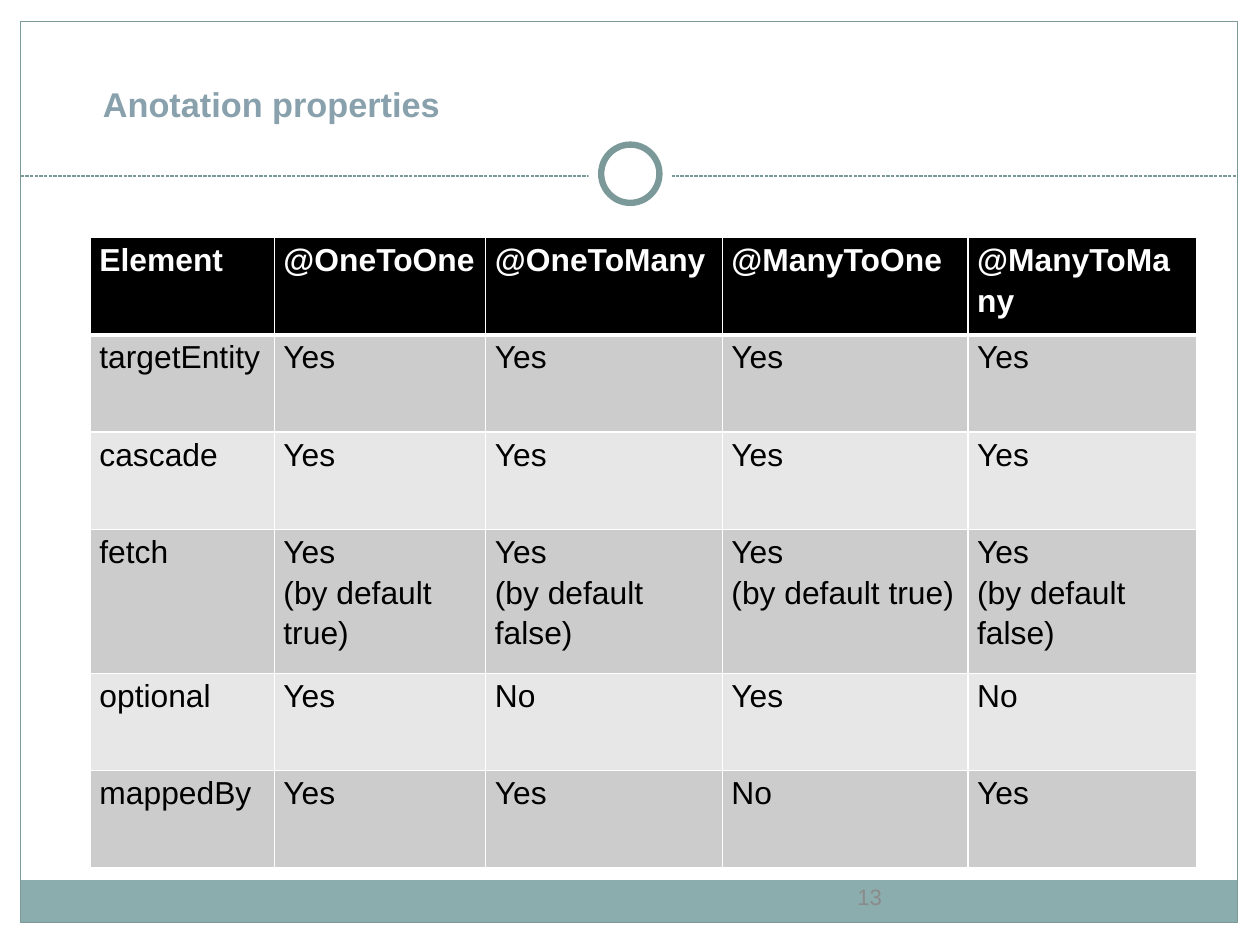
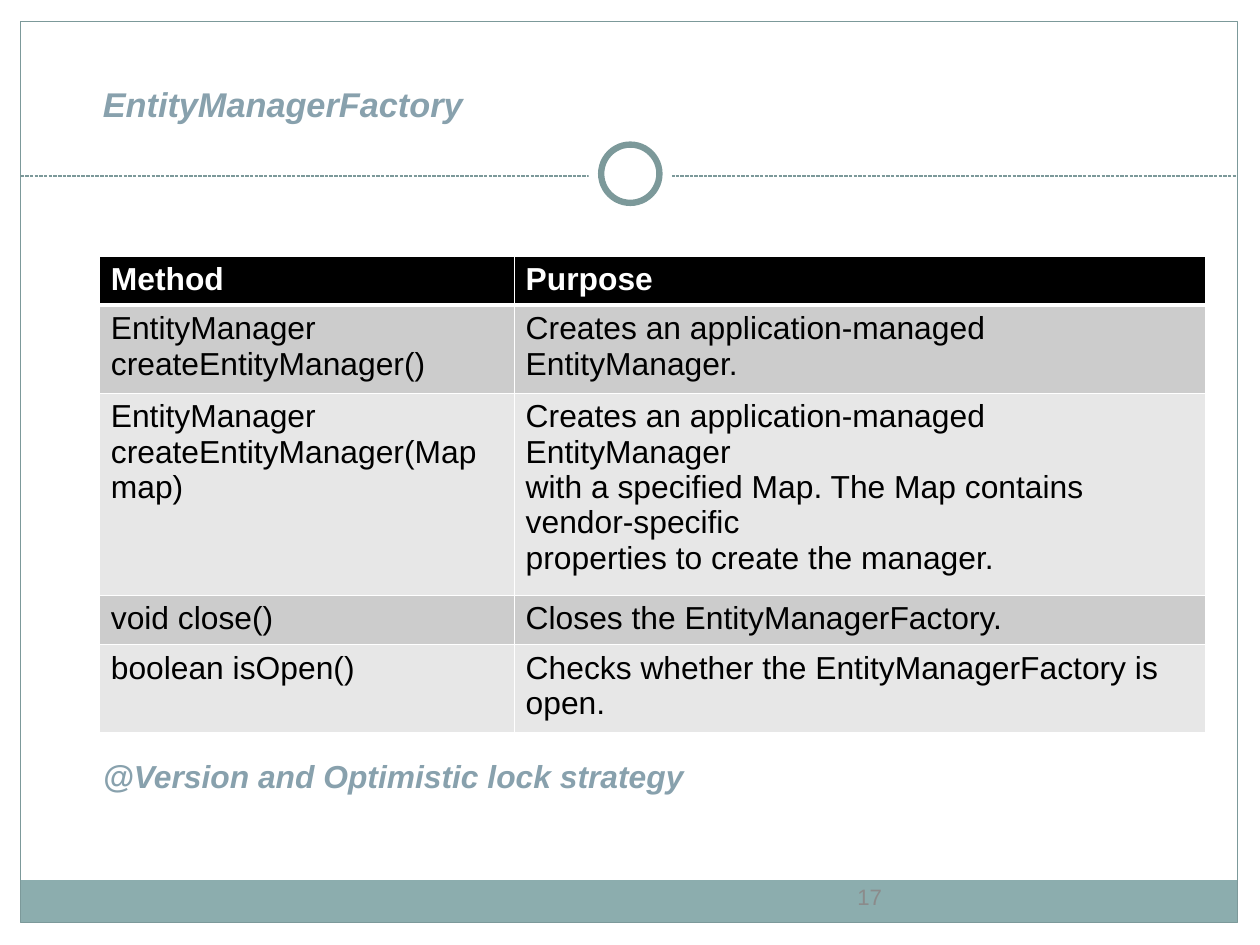
from lxml import etree
from pptx import Presentation
from pptx.dml.color import RGBColor
from pptx.enum.dml import MSO_LINE
from pptx.enum.shapes import MSO_CONNECTOR, MSO_SHAPE, PP_PLACEHOLDER
from pptx.enum.text import MSO_ANCHOR, MSO_AUTO_SIZE, PP_ALIGN
from pptx.oxml.ns import qn
from pptx.util import Emu, Inches, Pt

RECTANGLE, OVAL = MSO_SHAPE.RECTANGLE, MSO_SHAPE.OVAL
STRAIGHT = MSO_CONNECTOR.STRAIGHT
DASH = MSO_LINE.SQUARE_DOT
TITLE = PP_PLACEHOLDER.TITLE
TOP = MSO_ANCHOR.TOP
LEFT, CENTER = PP_ALIGN.LEFT, PP_ALIGN.CENTER
NO_AUTOFIT = MSO_AUTO_SIZE.NONE

FONT = "Arial"
WHITE = RGBColor(0xFF, 0xFF, 0xFF)
BLACK = RGBColor(0, 0, 0)
HEADING = RGBColor(0x88, 0xA1, 0xAD)
FRAME = RGBColor(0x7C, 0x99, 0x9A)
BAND = RGBColor(0x8C, 0xAD, 0xAE)
NUMBER = RGBColor(0x8B, 0x8B, 0x8B)
ROW_FILLS = (RGBColor(0xCC, 0xCC, 0xCC), RGBColor(0xE7, 0xE7, 0xE7))

# The standard 28 by 21 cm screen format
SLIDE_WIDTH, SLIDE_HEIGHT = Emu(10080625), Emu(7559675)
FRAME_BOX = (0.18, 0.19, 10.65, 7.88)
TITLE_BOX = (0.79, 0.67, 9.73, 0.39)
NUMBER_BOX = (7.21, 7.67, 0.8, 0.32)

PROPERTY_ROWS = [
    ["Element", "@OneToOne", "@OneToMany", "@ManyToOne", "@ManyToMany"],
    ["targetEntity"] + ["Yes"] * 4,
    ["cascade"] + ["Yes"] * 4,
    ["fetch"] + ["Yes\n(by default true)", "Yes\n(by default false)"] * 2,
    ["optional"] + ["Yes", "No"] * 2,
    ["mappedBy", "Yes", "Yes", "No", "Yes"],
]
METHOD_ROWS = [
    ["Method", "Purpose"],
    ["EntityManager\ncreateEntityManager()",
     "Creates an application-managed EntityManager."],
    ["EntityManager\ncreateEntityManager(Map map)",
     "Creates an application-managed EntityManager\n"
     "with a specified Map. The Map contains vendor-specific\n"
     "properties to create the manager."],
    ["void close()", "Closes the EntityManagerFactory."],
    ["boolean isOpen()", "Checks whether the EntityManagerFactory is open."],
]


def place(shape, box):
    shape.left, shape.top, shape.width, shape.height = map(Inches, box)


def format_text(text_frame, size, color, bold=False, italic=False,
                align=LEFT, spacing=None):
    for paragraph in text_frame.paragraphs:
        paragraph.alignment = align
        paragraph.line_spacing = spacing
        for run in paragraph.runs:
            font = run.font
            font.name, font.size = FONT, Pt(size)
            font.bold, font.italic = bold, italic
            font.color.rgb = color


def set_frame(text_frame, horizontal, vertical):
    text_frame.word_wrap = True
    text_frame.auto_size = NO_AUTOFIT
    text_frame.vertical_anchor = TOP
    text_frame.margin_left = text_frame.margin_right = Inches(horizontal)
    text_frame.margin_top = text_frame.margin_bottom = Inches(vertical)


def add_label(slide, box, text, size, color, **style):
    text_frame = slide.shapes.add_textbox(*map(Inches, box)).text_frame
    set_frame(text_frame, 0.11, 0.06)
    text_frame.text = text
    format_text(text_frame, size, color, **style)


def add_figure(slide, kind, box, fill=None, line=None, width=0.75):
    shape = slide.shapes.add_shape(kind, *map(Inches, box))
    shape.shadow.inherit = False
    if fill is None:
        shape.fill.background()
    else:
        shape.fill.solid()
        shape.fill.fore_color.rgb = fill
    if line is None:
        shape.line.fill.background()
    else:
        shape.line.color.rgb = line
        shape.line.width = Pt(width)
    return shape


def add_divider(slide, left, right, y):
    divider = slide.shapes.add_connector(
        STRAIGHT, Inches(left), Inches(y), Inches(right), Inches(y))
    divider.line.color.rgb = FRAME
    divider.line.width = Pt(0.75)
    divider.line.dash_style = DASH
    etree.SubElement(divider.element.spPr, qn("a:effectLst"))
    return divider


def build_layout(layout, slide, box):
    """Draw the shared frame on a slide and move it to the layout."""
    for placeholder in list(layout.placeholders):
        if placeholder.placeholder_format.type == TITLE:
            place(placeholder, TITLE_BOX)
        else:
            placeholder.element.getparent().remove(placeholder.element)

    left, top, width, height = box
    center_x, center_y = left + width / 2 + 0.01, top + 1.33

    def circle_box(size):
        return center_x - size / 2, center_y - size / 2, size, size

    parts = [
        add_figure(slide, RECTANGLE, (left, top + height - 0.37, width, 0.37), BAND),
        add_figure(slide, RECTANGLE, box, line=FRAME),
        add_divider(slide, left, left + width, top + 1.35),
        add_figure(slide, OVAL, circle_box(0.73), WHITE),
        add_figure(slide, OVAL, circle_box(0.51), WHITE, FRAME, 4),
    ]
    for part in parts:
        layout.shapes.element.append(part.element)


def set_heading(slide, title, number, italic=False):
    shape = slide.shapes.title
    place(shape, TITLE_BOX)
    set_frame(shape.text_frame, 0.11, 0.06)
    shape.text_frame.text = title
    format_text(shape.text_frame, 21.6, HEADING, bold=True, italic=italic)
    add_label(slide, NUMBER_BOX, number, 14, NUMBER, align=CENTER)


def set_borders(cell, top, bottom):
    properties = cell._tc.get_or_add_tcPr()
    widths = {"a:lnL": 1, "a:lnR": 1, "a:lnT": top, "a:lnB": bottom}
    for position, (tag, width) in enumerate(widths.items()):
        line = etree.Element(qn(tag), w=str(Pt(width)))
        fill = etree.SubElement(line, qn("a:solidFill"))
        etree.SubElement(fill, qn("a:srgbClr"), val=str(WHITE))
        properties.insert(position, line)


def add_grid(slide, left, top, columns, heights, rows, margins, spacing):
    table = slide.shapes.add_table(
        len(rows), len(columns), Inches(left), Inches(top),
        Inches(sum(columns)), Inches(sum(heights))).table
    for column, width in zip(table.columns, columns):
        column.width = Inches(width)
    for row_index, (row, height) in enumerate(zip(table.rows, heights)):
        row.height = Inches(height)
        header = row_index == 0
        for cell, text in zip(row.cells, rows[row_index]):
            cell.margin_left = cell.margin_right = Inches(margins[0])
            cell.margin_top = cell.margin_bottom = Inches(margins[1])
            cell.text_frame.text = text
            format_text(cell.text_frame, 20, WHITE if header else BLACK,
                        bold=header, spacing=spacing)
            cell.fill.solid()
            cell.fill.fore_color.rgb = (
                BLACK if header else ROW_FILLS[(row_index - 1) % 2])
            # The rule under the header is thicker
            set_borders(cell, 3 if row_index == 1 else 1, 3 if header else 1)


def build_properties_slide(slide):
    set_heading(slide, "Anotation properties", "13")
    add_grid(slide, 0.79, 2.08, [1.61, 1.85, 2.07, 2.15, 2],
             [0.85, 0.85, 0.85, 1.26, 0.85, 0.85],
             PROPERTY_ROWS, (0.08, 0), 1.15)


def build_factory_slide(slide):
    set_heading(slide, "EntityManagerFactory", "17", italic=True)
    add_label(slide, (0.79, 6.56, 9.69, 0.5),
              "@Version and Optimistic lock strategy", 20, HEADING,
              bold=True, italic=True)
    add_grid(slide, 0.87, 2.24, [3.63, 6.05], [0.43, 0.77, 1.77, 0.43, 0.77],
             METHOD_ROWS, (0.1, 0.05), 1.0)


def main():
    presentation = Presentation()
    presentation.slide_width = SLIDE_WIDTH
    presentation.slide_height = SLIDE_HEIGHT
    layout = presentation.slide_layouts.get_by_name("Title Only")

    properties_slide = presentation.slides.add_slide(layout)
    build_layout(layout, properties_slide, FRAME_BOX)
    build_properties_slide(properties_slide)
    build_factory_slide(presentation.slides.add_slide(layout))
    presentation.save("out.pptx")


if __name__ == "__main__":
    main()
